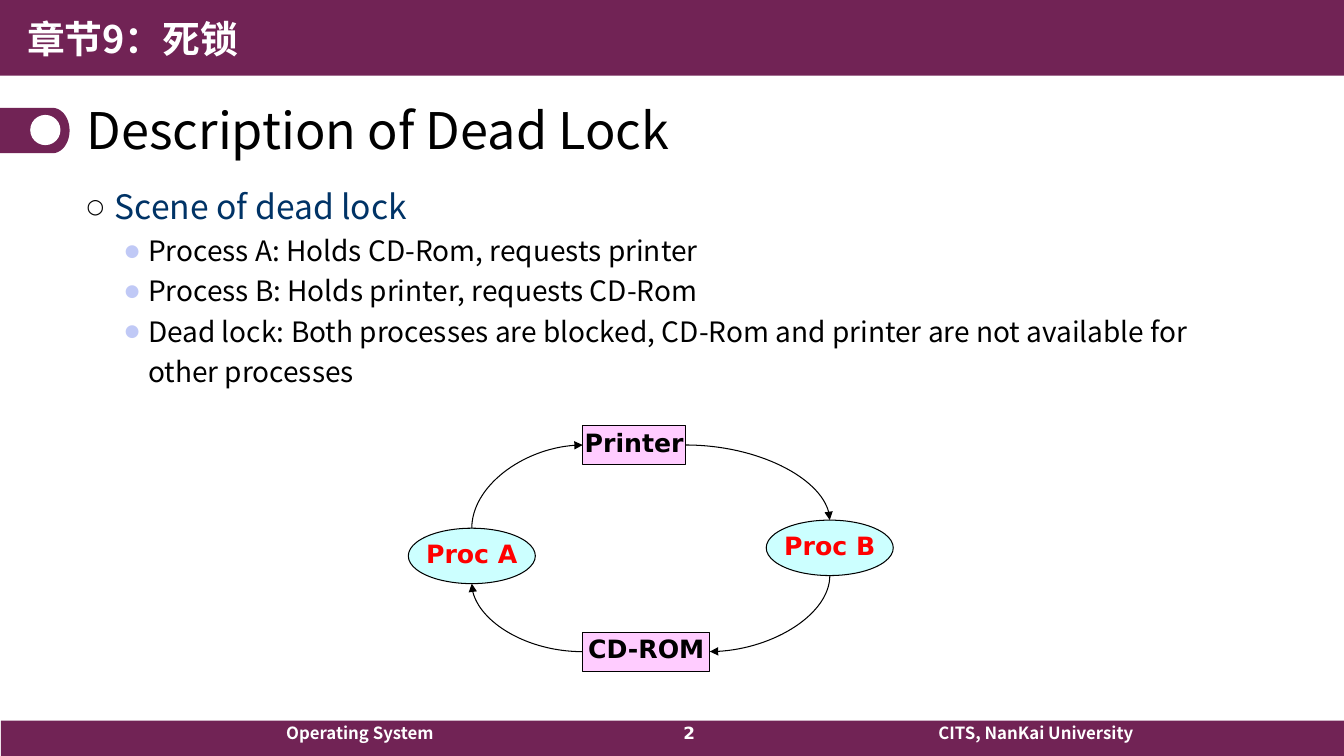
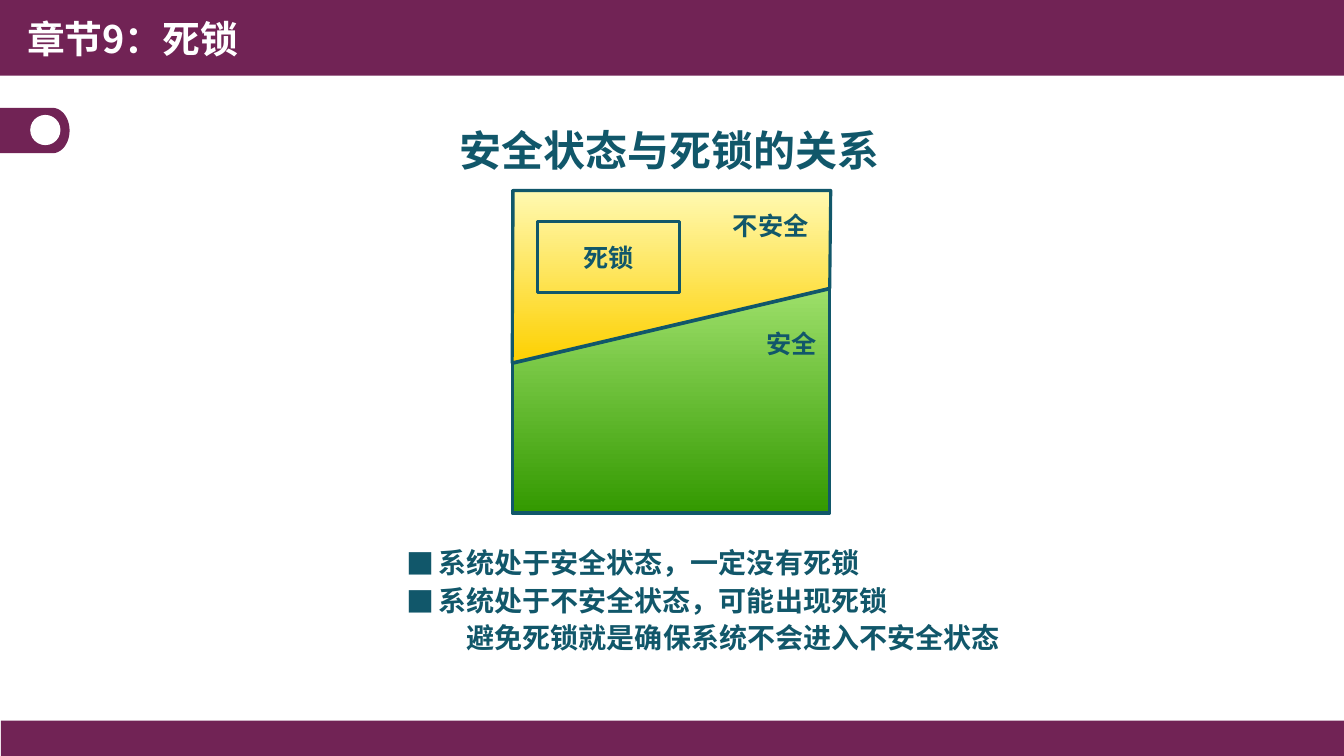
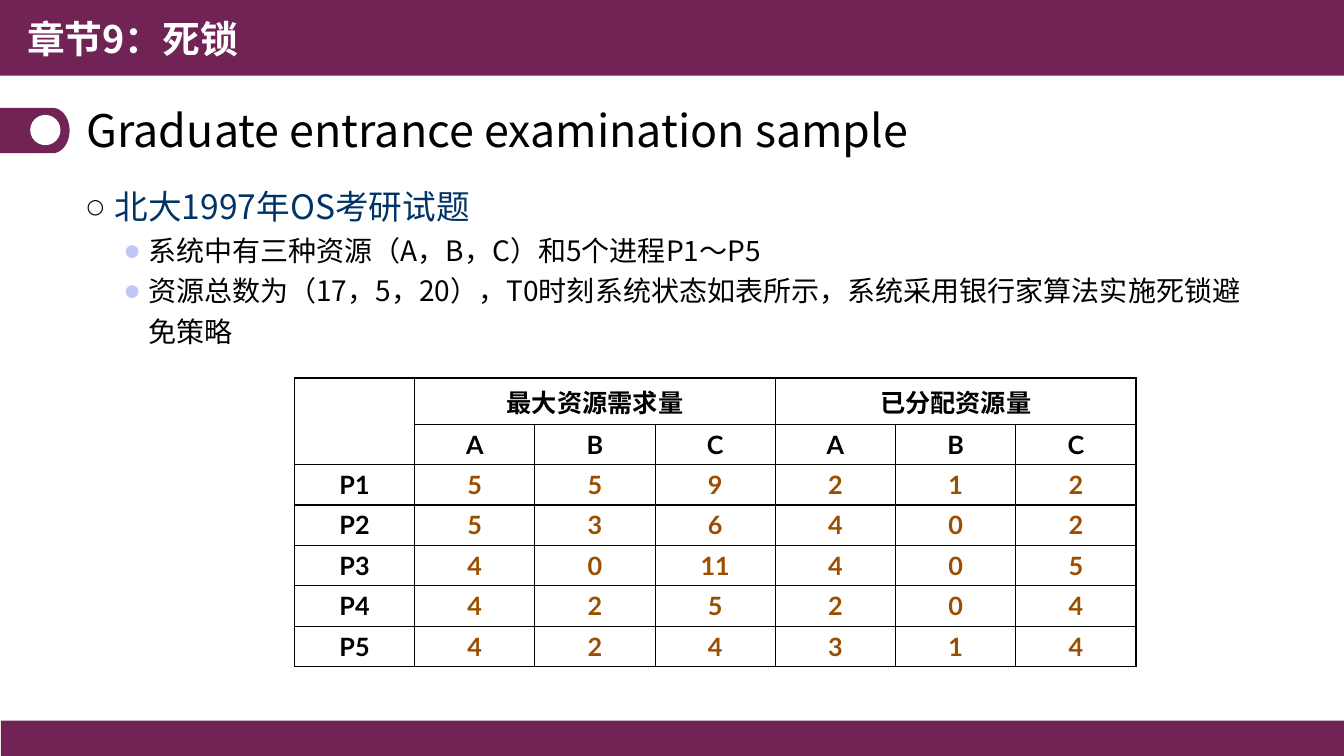
import math

from lxml import etree
from pptx import Presentation
from pptx import util as u
from pptx.dml import color
from pptx.enum import shapes, text
from pptx.oxml import ns

PX = 9144  # EMU in one px, 100 px to the inch
PLUM, TEAL, NAVY, BROWN = "712355", "11576A", "003366", "9C4E00"
BLACK, WHITE, LILAC = "000000", "FFFFFF", "C0C9F6"
CJK, SANS, LATO = "Noto Sans CJK SC", "DejaVu Sans", "Lato"
KIND = shapes.MSO_SHAPE
LEFT, CENTER, RIGHT = text.PP_ALIGN.LEFT, text.PP_ALIGN.CENTER, text.PP_ALIGN.RIGHT
TOP, MIDDLE = text.MSO_ANCHOR.TOP, text.MSO_ANCHOR.MIDDLE
rgb = color.RGBColor.from_string


def write(holder, words, box=None, size=18, ink=BLACK, bold=True, font=CJK,
          align=LEFT, anchor=TOP, wrap=True, spacing=1.0, bullet=None):
    """Add one paragraph to holder, or to a new text box if holder is a slide and box is given.

    bullet is (character, colour, size in percent, font, left margin, hanging indent).
    """
    if box:
        holder = holder.shapes.add_textbox(*[v * PX for v in box])
    frame = holder.text_frame
    frame.word_wrap, frame.vertical_anchor = wrap, anchor
    paragraph = frame.add_paragraph() if frame.text else frame.paragraphs[0]
    paragraph.alignment, paragraph.line_spacing = align, spacing
    run = paragraph.add_run()
    run.text = words
    run.font.size, run.font.bold, run.font.name = u.Pt(size), bold, font
    run.font.color.rgb = rgb(ink)
    etree.SubElement(run._r.get_or_add_rPr(), ns.qn("a:ea"),
                     typeface=font if "CJK" in font else CJK)
    if bullet:
        mark, mark_ink, percent, mark_font, margin, hang = bullet
        props = paragraph._p.get_or_add_pPr()
        props.set("marL", str(margin * PX))
        props.set("indent", str(-hang * PX))
        clr = etree.SubElement(props, ns.qn("a:buClr"))
        etree.SubElement(clr, ns.qn("a:srgbClr"), val=mark_ink)
        etree.SubElement(props, ns.qn("a:buSzPct"), val=str(percent * 1000))
        etree.SubElement(props, ns.qn("a:buFont"), typeface=mark_font)
        etree.SubElement(props, ns.qn("a:buChar"), char=mark)
    return holder


def draw(slide, outline, box=None, fill=None, line=None, width=0.75):
    """Add a preset shape in box, or a closed polygon if outline is a list of points.

    fill is a hex colour, a pair of them for a gradient from top to bottom, or None.
    """
    if box:
        shape = slide.shapes.add_shape(outline, *[v * PX for v in box])
    else:
        points = [(x * PX, y * PX) for x, y in outline]
        builder = slide.shapes.build_freeform(*points[0])
        builder.add_line_segments(points[1:], close=True)
        shape = builder.convert_to_shape()
    shape.shadow.inherit = False
    if isinstance(fill, tuple):
        shape.fill.gradient()
        shape.fill.gradient_angle = 270
        for stop, stop_ink in zip(shape.fill.gradient_stops, fill):
            stop.color.rgb = rgb(stop_ink)
    elif fill:
        shape.fill.solid()
        shape.fill.fore_color.rgb = rgb(fill)
    else:
        shape.fill.background()
    if line:
        shape.line.color.rgb, shape.line.width = rgb(line), u.Pt(width)
    else:
        shape.line.fill.background()
    return shape


deck = Presentation()
deck.slide_width, deck.slide_height = 1333 * PX, 750 * PX
layout = deck.slide_layouts[5]
for placeholder in list(layout.placeholders)[1:]:
    layout.shapes.element.remove(placeholder.element)

# Titles
heading_box = (76, 95, 1181, 74)
heading = dict(bold=False, anchor=MIDDLE, spacing=0.9)
titles = [
    ("Description of Dead Lock", heading_box, dict(heading, size=36)),
    ("安全状态与死锁的关系", (214, 119, 900, 56), dict(size=30, ink=TEAL, align=CENTER)),
    ("Graduate entrance examination sample", heading_box, dict(heading, size=32)),
]
slides = []
for words, (left, top, width, height), style in titles:
    slide = deck.slides.add_slide(layout)
    title = slide.shapes.title
    title.left, title.top, title.width, title.height = left * PX, top * PX, width * PX, height * PX
    write(title, words, **style)
    title.text_frame.auto_size = text.MSO_AUTO_SIZE.NONE
    slides.append(slide)
scene, relation, exam = slides

# Bands and tag, drawn once and moved to the layout
arc = [math.radians(a) for a in range(-90, 91, 6)]
tag = [(0, 107)] + [(52 + 17 * math.cos(a), 129.5 + 22.5 * math.sin(a)) for a in arc] + [(0, 152)]
shared = [
    draw(scene, KIND.RECTANGLE, (1, 715, 1333, 36), PLUM),
    draw(scene, KIND.RECTANGLE, (-1, 0, 1336, 75), PLUM),
    write(scene, "章节9：死锁", (17, 0, 667, 77), size=27, ink=WHITE, anchor=MIDDLE),
    draw(scene, tag, fill=PLUM),
    draw(scene, KIND.OVAL, (30, 114, 30, 30), WHITE),
]
for part in shared:
    layout.shapes.element.append(part.element)

# Outlines of the first and last slide
outlines = [
    (scene, "Scene of dead lock", [
        "Process A: Holds CD-Rom, requests printer",
        "Process B: Holds printer, requests CD-Rom",
        "Dead lock: Both processes are blocked, CD-Rom and printer are not available for other processes",
    ]),
    (exam, "北大1997年OS考研试题", [
        "系统中有三种资源（A，B，C）和5个进程P1～P5",
        "资源总数为（17，5，20），T0时刻系统状态如表所示，系统采用银行家算法实施死锁避免策略",
    ]),
]
for slide, topic, points in outlines:
    body = write(slide, topic, (76, 172, 1181, 476), size=24, ink=NAVY, bold=False,
                 spacing=1.2, bullet=("○", BLACK, 60, SANS, 28, 28))
    for point in points:
        write(body, point, size=20, bold=False, spacing=1.2,
              bullet=("●", LILAC, 60, SANS, 61, 23))

# Slide 1: footer and resource cycle
for words, box, align, font in [
    ("Operating System", (274, 712, 275, 33), LEFT, CJK),
    ("CITS, NanKai University", (817, 712, 317, 33), RIGHT, CJK),
    ("2", (567, 712, 233, 33), CENTER, SANS),
]:
    write(scene, words, box, size=12, ink=WHITE, align=align, font=font)

nodes = {}
for name, kind, box, fill, ink in [
    ("Proc A", KIND.OVAL, (405, 524, 126, 55), "CCFFFF", "FF0000"),
    ("Proc B", KIND.OVAL, (760, 516, 126, 55), "CCFFFF", "FF0000"),
    ("Printer", KIND.RECTANGLE, (578, 422, 102, 39), "FFCCFF", BLACK),
    ("CD-ROM", KIND.RECTANGLE, (578, 627, 126, 39), "FFCCFF", BLACK),
]:
    nodes[name] = draw(scene, kind, box, fill, BLACK)
    write(nodes[name], name, ink=ink, font=SANS, align=CENTER, anchor=MIDDLE,
          wrap=False, spacing=0.8)

# Each curve leaves a resource sideways and meets a process from above or below
for resource, resource_side, process, process_side, arrow_end in [
    ("CD-ROM", 1, "Proc A", 2, "tailEnd"),
    ("Printer", 1, "Proc A", 0, "headEnd"),
    ("Printer", 3, "Proc B", 0, "tailEnd"),
    ("CD-ROM", 3, "Proc B", 2, "headEnd"),
]:
    curve = scene.shapes.add_connector(shapes.MSO_CONNECTOR.CURVE, 0, 0, PX, PX)
    curve.begin_connect(nodes[resource], resource_side)
    curve.end_connect(nodes[process], process_side)
    # An ellipse has eight connection sites, two for each side
    curve.element.find(".//" + ns.qn("a:endCxn")).set("idx", str(process_side * 2))
    curve.element.find(".//" + ns.qn("a:prstGeom")).set("prst", "curvedConnector2")
    curve.line.color.rgb, curve.line.width = rgb(BLACK), u.Pt(0.75)
    etree.SubElement(curve.line._get_or_add_ln(), ns.qn("a:" + arrow_end), type="triangle")
    etree.SubElement(curve.element.spPr, ns.qn("a:effectLst"))

# Slide 2: safe and unsafe states
draw(relation, KIND.RECTANGLE, (508, 189, 315, 320), ("CCFF99", "339900"), TEAL, 2.25)
border = relation.shapes.add_connector(
    shapes.MSO_CONNECTOR.STRAIGHT, 508 * PX, 360 * PX, 823 * PX, 286 * PX)
border.line.color.rgb, border.line.width = rgb(TEAL), u.Pt(3)
etree.SubElement(border.element.spPr, ns.qn("a:effectLst"))
unsafe_area = [(509, 189), (824, 189), (823, 286), (508, 360)]
draw(relation, unsafe_area, fill=("FFF9B1", "FDD000"), line=TEAL, width=2.25)
deadlock = draw(relation, KIND.RECTANGLE, (533, 220, 141, 70), line=TEAL, width=2.25)
write(deadlock, "死锁", ink=TEAL, align=CENTER, anchor=MIDDLE)
write(relation, "不安全", (717, 204, 97, 40), ink=TEAL, wrap=False)
write(relation, "安全", (750, 321, 72, 40), ink=TEAL, wrap=False)

square = ("■", TEAL, 100, "Noto Sans CJK JP", 32, 32)
for words, box in [
    ("系统处于安全状态，一定没有死锁", (393, 536, 517, 44)),
    ("系统处于不安全状态，可能出现死锁", (393, 574, 588, 44)),
]:
    write(relation, words, box, size=20, ink=TEAL, bullet=square)
write(relation, "避免死锁就是确保系统不会进入不安全状态", (453, 614, 552, 45),
      size=20, ink=TEAL, spacing=0.9)

# Slide 3: resource table
rows = [
    ["", "最大资源需求量", "", "", "已分配资源量", "", ""],
    ["", "A", "B", "C", "A", "B", "C"],
    ["P1", 5, 5, 9, 2, 1, 2],
    ["P2", 5, 3, 6, 4, 0, 2],
    ["P3", 4, 0, 11, 4, 0, 5],
    ["P4", 4, 2, 5, 2, 0, 4],
    ["P5", 4, 2, 4, 3, 1, 4],
]
table = exam.shapes.add_table(7, 7, 292 * PX, 375 * PX, 835 * PX, 280 * PX).table
table.rows[0].height = 46 * PX
table.first_row = table.horz_banding = False
for r, row in enumerate(rows):
    for c, value in enumerate(row):
        cell = table.cell(r, c)
        if value != "":
            ink = BROWN if isinstance(value, int) else BLACK
            write(cell, str(value), ink=ink, font=LATO, align=CENTER)
        props = cell._tc.get_or_add_tcPr()
        for side in ("lnL", "lnR", "lnT", "lnB"):
            edge = etree.SubElement(props, ns.qn("a:" + side), w=str(u.Pt(1)))
            paint = etree.SubElement(edge, ns.qn("a:solidFill"))
            etree.SubElement(paint, ns.qn("a:srgbClr"), val=BLACK)
        cell.fill.background()
for first, last in [((0, 0), (1, 0)), ((0, 1), (0, 3)), ((0, 4), (0, 6))]:
    table.cell(*first).merge(table.cell(*last))

deck.save("out.pptx")
